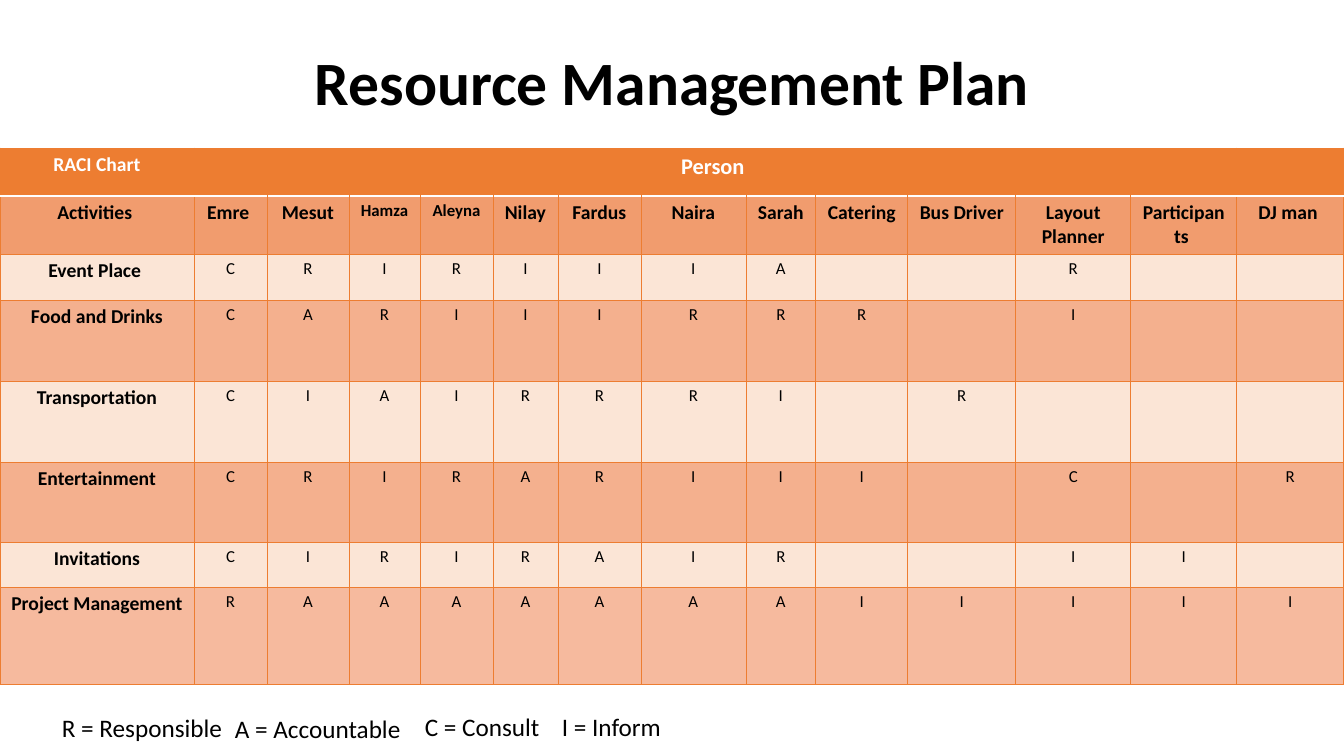
from lxml.etree import SubElement
from pptx import Presentation
from pptx.dml.color import RGBColor
from pptx.enum.text import MSO_ANCHOR, PP_ALIGN
from pptx.oxml.ns import qn
from pptx.util import Pt

PX = 914400 / 100.8
BLACK = RGBColor(0x00, 0x00, 0x00)
WHITE = RGBColor(0xFF, 0xFF, 0xFF)
ORANGE = RGBColor(0xED, 0x7D, 0x31)
NAME_ROW = RGBColor(0xF1, 0x9C, 0x6E)
PALE = RGBColor(0xFB, 0xE5, 0xD6)
PEACH = RGBColor(0xF4, 0xB0, 0x8E)
ROSE = RGBColor(0xF6, 0xBA, 0x9E)


def px(length):
    return round(length * PX)


def style_paragraph(para, size, bold, color, align):
    para.alignment = align
    para.font.name = "Calibri"
    para.font.size = Pt(size)
    para.font.bold = bold
    para.font.color.rgb = color


deck = Presentation()
deck.slide_width, deck.slide_height = px(1344), px(756)
page = deck.slides.add_slide(deck.slide_layouts[6])

column_widths = [194, 73, 82, 71, 73, 65, 83, 105, 70, 92, 108, 115, 106, 107]
row_heights = [48, 58, 46, 81, 81, 80, 45, 97]
row_fills = [ORANGE, NAME_ROW, PALE, PEACH, PALE, PEACH, PALE, ROSE]
people = ["Emre ", "Mesut", "Hamza", "Aleyna", "Nilay", "Fardus", "Naira", "Sarah",
          "Catering", "Bus Driver", "Layout Planner", "Participants ", "DJ man "]
duties = [
    ("Event Place ", "CRIRIIIA--R--"),
    ("Food and Drinks", "CARIIIRRR-I--"),
    ("Transportation", "CIAIRRRI-R---"),
    ("Entertainment", "CRIRARIII-C-R"),
    ("Invitations", "CIRIRAIR--II-"),
    ("Project Management", "RAAAAAAAIIIII"),
]
rows = [["RACI Chart", "Person "] + [""] * 12, ["Activities "] + people]
rows += [[activity] + [role.strip("-") for role in roles] for activity, roles in duties]

table = page.shapes.add_table(
    len(rows), len(column_widths), 0, px(148),
    px(sum(column_widths)), px(sum(row_heights))).table
for column, width in zip(table.columns, column_widths):
    column.width = px(width)
for row, height in zip(table.rows, row_heights):
    row.height = px(height)

for r, texts in enumerate(rows):
    for c, text in enumerate(texts):
        cell = table.cell(r, c)
        para = cell.text_frame.paragraphs[0]
        para.text = text
        size = 14 if r < 2 or c == 0 else 12
        if text == "Person ":
            size = 16
        elif text in ("Hamza", "Aleyna"):
            size = 12
        style_paragraph(para, size, r < 2 or c == 0, WHITE if r == 0 else BLACK, PP_ALIGN.CENTER)
        properties = cell._tc.get_or_add_tcPr()
        for side in ("L", "R", "T", "B"):
            divider = (r, side) in ((0, "B"), (1, "T"))
            line = SubElement(properties, qn(f"a:ln{side}"), w=str(Pt(1 if divider else 0.5)))
            fill = SubElement(line, qn("a:solidFill"))
            SubElement(fill, qn("a:srgbClr"), val=str(WHITE if divider else ORANGE))
        cell.fill.solid()
        cell.fill.fore_color.rgb = row_fills[r]
table.cell(0, 1).merge(table.cell(0, 12))

labels = [
    ("Resource Management Plan", 93, 23, 1159, 124, 44),
    ("R = Responsible", 52, 707, 219, 40, 18),
    ("A = Accountable", 225, 708, 206, 40, 18),
    ("C = Consult", 415, 706, 220, 40, 18),
    ("I = Inform", 552, 706, 240, 40, 18),
]
for text, left, top, width, height, size in labels:
    is_title = size == 44
    box = page.shapes.add_textbox(px(left), px(top), px(width), px(height))
    frame = box.text_frame
    frame.word_wrap = True
    frame.vertical_anchor = MSO_ANCHOR.MIDDLE if is_title else MSO_ANCHOR.TOP
    para = frame.paragraphs[0]
    para.text = text
    para.line_spacing = 0.9 if is_title else 1.0
    style_paragraph(para, size, is_title, BLACK, PP_ALIGN.CENTER if is_title else PP_ALIGN.LEFT)

deck.save("out.pptx")
